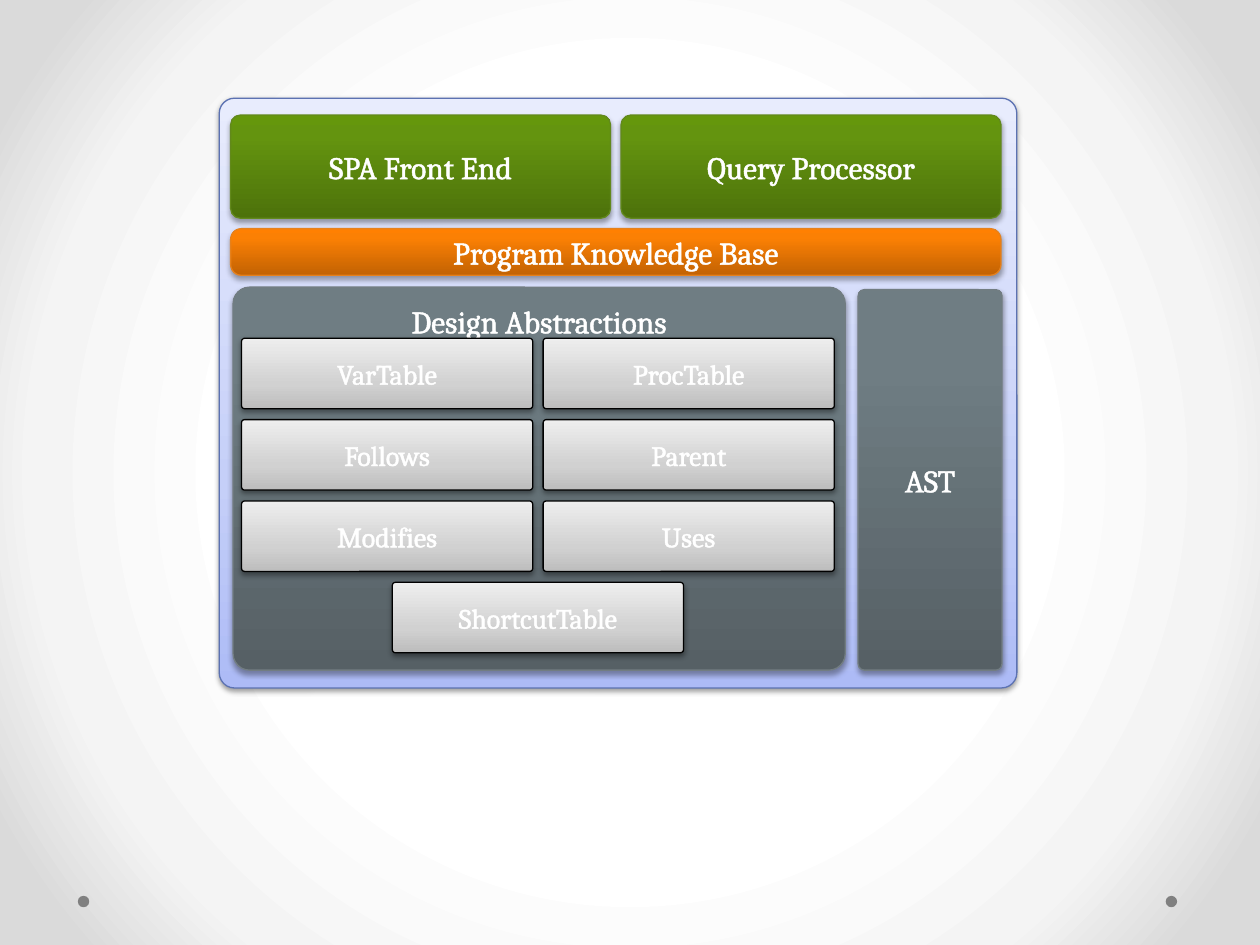
from dataclasses import dataclass

from lxml.etree import SubElement
from pptx import Presentation
from pptx.dml.color import RGBColor as Rgb
from pptx.enum.shapes import MSO_SHAPE as Preset
from pptx.enum.text import MSO_ANCHOR as Anchor, PP_ALIGN as Align
from pptx.oxml import parse_xml
from pptx.oxml.ns import nsdecls, qn
from pptx.util import Cm, Pt


@dataclass(frozen=True)
class Look:
    """Gradient stops, edge colour and shadow of one family of boxes."""
    stops: tuple
    edge: str
    shadow_alpha: int = 35
    shadow_distance: float = 1.8


@dataclass(frozen=True)
class Theme:
    """Colours and type sizes of the slide."""
    font: str = "Cambria"
    text: str = "FFFFFF"
    dot: str = "808080"
    heading: int = 18
    entry: int = 16
    edge_width: float = 0.75
    text_outline: float = 1.45
    backdrop: tuple = ((50, "FFFFFF"), (76, "F4F4F4"), (92, "DADADA"))
    frame: Look = Look(((0, "ADBBF6"), (35, "C5CFF8"), (100, "E8ECFD")),
                       "5C72B2", 38, 1.6)
    store: Look = Look(((0, "566065"), (80, "6F7D83"), (100, "6F7E84")), "727D82")
    base: Look = Look(((0, "C26203"), (80, "FB8004"), (100, "FF8002")), "E6811C")
    component: Look = Look(((0, "4D720B"), (80, "64940F"), (100, "65970C")), "62891C")
    table: Look = Look(((0, "BDBDBD"), (35, "D1D1D1"), (100, "EEEEEE")),
                       "000000", 38, 1.6)


def set_stops(gradient, stops):
    """Replace the stops of a gradient fill element."""
    stop_list = gradient.find(qn("a:gsLst"))
    for old in list(stop_list):
        stop_list.remove(old)
    for percent, color in stops:
        stop = SubElement(stop_list, qn("a:gs"), pos=str(percent * 1000))
        SubElement(stop, qn("a:srgbClr"), val=color)


class Diagram:
    """Draws architecture boxes on the current slide in one theme."""

    def __init__(self, slide, theme):
        """Keep the slide and the theme."""
        self.slide, self.theme = slide, theme

    def backdrop(self):
        """Fill the background with a circular gradient."""
        self.slide.background.fill.gradient()
        gradient = self.slide.element.find(".//" + qn("a:gradFill"))
        set_stops(gradient, self.theme.backdrop)
        gradient.remove(gradient.find(qn("a:lin")))
        gradient.append(parse_xml(
            f'<a:path {nsdecls("a")} path="circle">'
            '<a:fillToRect l="50000" t="50000" r="50000" b="50000"/></a:path>'))

    def dot(self, left, top, size):
        """Draw a small plain circle."""
        circle = self.slide.shapes.add_shape(
            Preset.OVAL, Cm(left), Cm(top), Cm(size), Cm(size))
        circle.shadow.inherit = False
        circle.fill.solid()
        circle.fill.fore_color.rgb = Rgb.from_string(self.theme.dot)
        circle.line.fill.background()

    def box(self, left, top, width, height, look, corner,
            label="", size=None, anchor=Anchor.MIDDLE):
        """Draw a rounded gradient box with a shadow and a centred label."""
        box = self.slide.shapes.add_shape(
            Preset.ROUNDED_RECTANGLE, Cm(left), Cm(top), Cm(width), Cm(height))
        box.adjustments[0] = corner
        box.fill.gradient()
        box.fill.gradient_angle = 90
        set_stops(box.element.spPr.find(qn("a:gradFill")), look.stops)
        box.line.color.rgb = Rgb.from_string(look.edge)
        box.line.width = Pt(self.theme.edge_width)
        self.cast_shadow(box, look)
        if label:
            self.set_label(box.text_frame, label, size or self.theme.heading, anchor)

    def cast_shadow(self, box, look):
        """Give a box a soft shadow straight below it."""
        box.shadow.inherit = False
        box.element.spPr.find(qn("a:effectLst")).append(parse_xml(
            f'<a:outerShdw {nsdecls("a")} blurRad="{Pt(3.1)}" '
            f'dist="{Pt(look.shadow_distance)}" dir="5400000" rotWithShape="0">'
            f'<a:srgbClr val="000000"><a:alpha val="{look.shadow_alpha * 1000}"/>'
            '</a:srgbClr></a:outerShdw>'))

    def set_label(self, frame, label, size, anchor):
        """Put an outlined, centred label into a text frame."""
        frame.text = label
        frame.word_wrap = True
        frame.vertical_anchor = anchor
        frame.margin_top = frame.margin_bottom = Cm(0.2)
        paragraph = frame.paragraphs[0]
        paragraph.alignment = Align.CENTER
        run = paragraph.runs[0]
        run.font.name, run.font.size = self.theme.font, Pt(size)
        run.font.color.rgb = Rgb.from_string(self.theme.text)
        outline = parse_xml(
            f'<a:ln {nsdecls("a")} w="{Pt(self.theme.text_outline)}"><a:solidFill>'
            f'<a:srgbClr val="{self.theme.text}"/></a:solidFill></a:ln>')
        frame._txBody.find(".//" + qn("a:rPr")).insert(0, outline)


def main():
    """Build the architecture slide and save it."""
    deck = Presentation()
    deck.slide_width, deck.slide_height = Cm(25.4), Cm(19.05)
    theme = Theme()
    diagram = Diagram(deck.slides.add_slide(deck.slide_layouts[6]), theme)
    diagram.backdrop()
    for left in (23.5, 1.57):
        diagram.dot(left, 18.06, 0.23)

    diagram.box(4.42, 1.98, 16.08, 11.89, theme.frame, 0.026)
    diagram.box(4.7, 5.79, 12.34, 7.72, theme.store, 0.043,
                "Design Abstractions", anchor=Anchor.TOP)
    diagram.box(17.3, 5.84, 2.9, 7.67, theme.store, 0.043, "AST")
    diagram.box(4.65, 4.61, 15.53, 0.94, theme.base, 0.23, "Program Knowledge Base")
    for left, label in ((4.65, "SPA Front End"), (12.52, "Query Processor")):
        diagram.box(left, 2.32, 7.66, 2.08, theme.component, 0.095, label)

    # Each entry sits at a column and row; the last is centred between columns.
    entries = {"VarTable": (0, 0), "ProcTable": (1, 0),
               "Follows": (0, 1), "Parent": (1, 1),
               "Modifies": (0, 2), "Uses": (1, 2),
               "ShortcutTable": (0.5, 3)}
    for label, (column, row) in entries.items():
        diagram.box(4.87 + 6.08 * column, 6.82 + 1.64 * row, 5.87, 1.42,
                    theme.table, 0.043, label, theme.entry)
    deck.save("out.pptx")


main()
